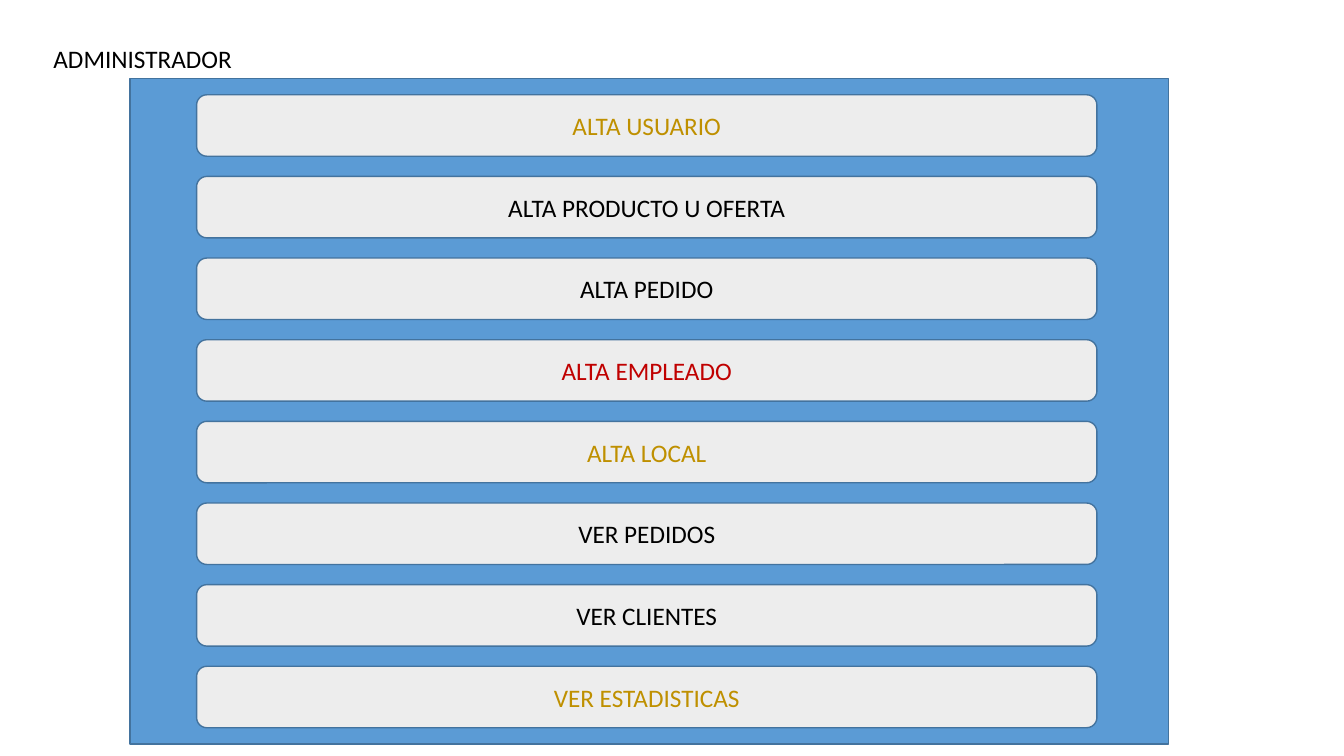
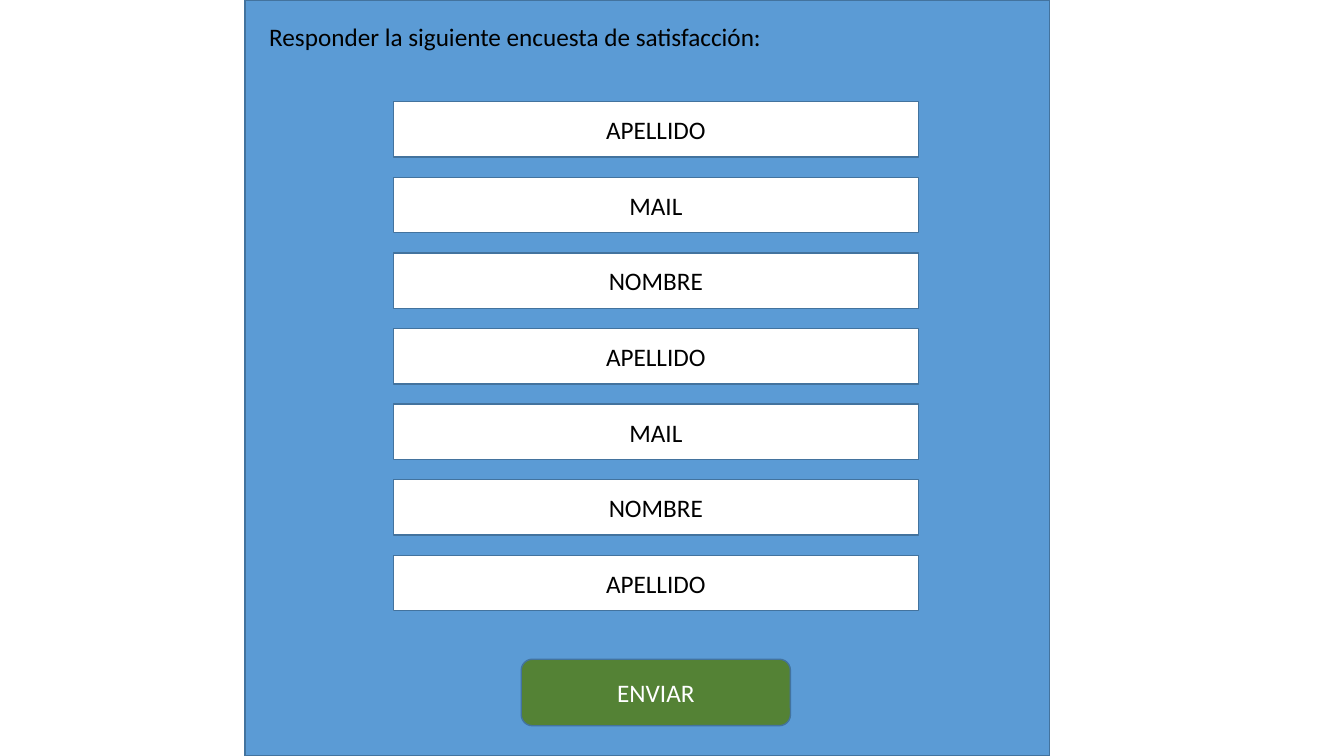
"""Build the administrator menu and the satisfaction survey form."""
from dataclasses import dataclass

from pptx import Presentation
from pptx.dml.color import RGBColor
from pptx.enum.shapes import MSO_SHAPE as Shp
from pptx.enum.text import MSO_ANCHOR as Anchor, MSO_AUTO_SIZE as Auto, PP_ALIGN as Align
from pptx.util import Inches, Pt

BLACK, WHITE, GOLD, RED = "000000", "FFFFFF", "BF9000", "C00000"
BLUE, EDGE, GREY, GREEN = "5B9BD5", "43739E", "EDEDED", "548235"
FONT, SIZE = "Calibri", 18


@dataclass(frozen=True)
class Box:
    x: float
    y: float
    w: float
    h: float

    def down(self, dy: float) -> "Box":
        return Box(self.x, self.y + dy, self.w, self.h)

    def emu(self) -> tuple:
        return tuple(Inches(v) for v in (self.x, self.y, self.w, self.h))


@dataclass(frozen=True)
class Item:
    text: str
    color: str = BLACK


@dataclass(frozen=True)
class Stack:
    first: Box
    step: float
    fill: str
    kind: Shp
    items: tuple


def rgb(value: str) -> RGBColor:
    return RGBColor.from_string(value)


def write(tf, text: str, *, color: str = BLACK, align=Align.CENTER, anchor=Anchor.MIDDLE) -> None:
    tf.vertical_anchor = anchor
    p = tf.paragraphs[0]
    p.alignment = align
    r = p.add_run()
    r.text = text
    r.font.name, r.font.size = FONT, Pt(SIZE)
    r.font.color.rgb = rgb(color)


def add_box(s, box: Box, fill: str, kind=Shp.RECTANGLE, item: Item | None = None) -> None:
    sp = s.shapes.add_shape(kind, *box.emu())
    sp.shadow.inherit = False
    sp.fill.solid()
    sp.fill.fore_color.rgb = rgb(fill)
    sp.line.color.rgb = rgb(EDGE)
    sp.line.width = Pt(1)
    if item:
        write(sp.text_frame, item.text, color=item.color)


def add_stack(s, stack: Stack) -> None:
    for i, item in enumerate(stack.items):
        add_box(s, stack.first.down(i * stack.step), stack.fill, stack.kind, item)


def add_title(s, text: str, box: Box) -> None:
    sp = s.shapes.title
    sp.left, sp.top, sp.width, sp.height = box.emu()
    tf = sp.text_frame
    write(tf, text, align=Align.LEFT, anchor=Anchor.TOP)
    tf.word_wrap = False
    tf.auto_size = Auto.SHAPE_TO_FIT_TEXT
    sp.element.getparent().append(sp.element)


def add_form(prs, title: str, title_box: Box, panel: Box, stack: Stack):
    s = prs.slides.add_slide(prs.slide_layouts[5])
    add_box(s, panel, BLUE)
    add_stack(s, stack)
    add_title(s, title, title_box)
    return s


def main() -> None:
    prs = Presentation()
    prs.slide_width, prs.slide_height = Inches(13.33), Inches(7.5)

    menu = Stack(Box(1.95, 0.94, 8.93, 0.61), 0.81, GREY, Shp.ROUNDED_RECTANGLE, (
        Item("ALTA USUARIO", GOLD),
        Item("ALTA PRODUCTO U OFERTA"),
        Item("ALTA PEDIDO"),
        Item("ALTA EMPLEADO", RED),
        Item("ALTA LOCAL", GOLD),
        Item("VER PEDIDOS"),
        Item("VER CLIENTES"),
        Item("VER ESTADISTICAS", GOLD),
    ))
    add_form(prs, "ADMINISTRADOR", Box(0.43, 0.38, 1.99, 0.4),
             Box(1.29, 0.78, 10.3, 6.6), menu)

    names = ("APELLIDO", "MAIL", "NOMBRE", "APELLIDO", "MAIL", "NOMBRE", "APELLIDO")
    fields = Stack(Box(3.9, 1.01, 5.21, 0.55), 0.75, WHITE, Shp.RECTANGLE,
                   tuple(Item(name) for name in names))
    survey = add_form(prs, "Responder la siguiente encuesta de satisfacción:",
                      Box(2.57, 0.16, 5.27, 0.4), Box(2.43, 0, 7.98, 7.5), fields)
    add_box(survey, Box(5.17, 6.54, 2.67, 0.66), GREEN, Shp.ROUNDED_RECTANGLE,
            Item("ENVIAR", WHITE))

    prs.save("out.pptx")


if __name__ == "__main__":
    main()
